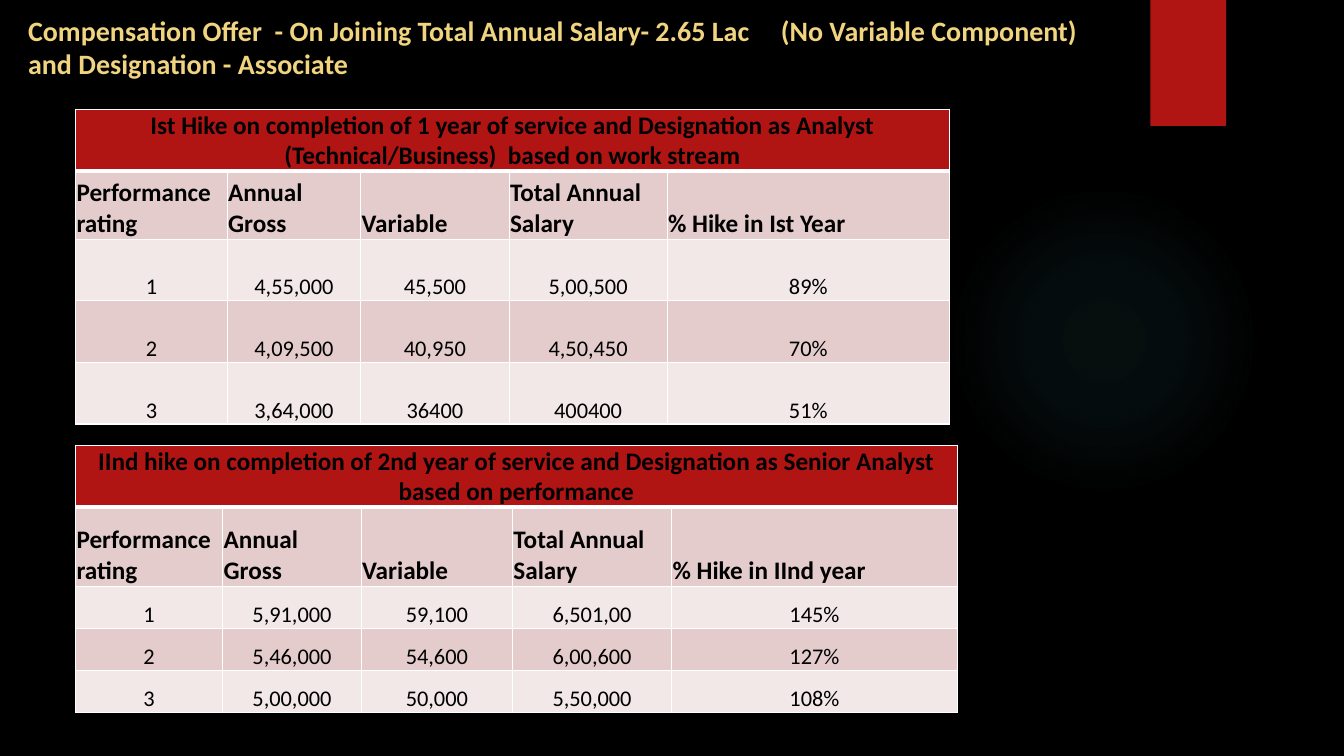
import dataclasses

import lxml.etree
import pptx
import pptx.dml.color
import pptx.enum.shapes
import pptx.enum.text
import pptx.oxml
import pptx.oxml.ns
import pptx.shapes.autoshape
import pptx.slide
import pptx.table
import pptx.text.text
import pptx.util

Pt = pptx.util.Pt
RGBColor = pptx.dml.color.RGBColor
Align = pptx.enum.text.PP_ALIGN
Shape = pptx.enum.shapes.MSO_SHAPE
qn = pptx.oxml.ns.qn

BLACK = RGBColor(0x00, 0x00, 0x00)
WHITE = RGBColor(0xFF, 0xFF, 0xFF)
RED = RGBColor(0xB0, 0x15, 0x13)
GOLD = RGBColor(0xF0, 0xD4, 0x7F)
TEAL = RGBColor(0x50, 0xB9, 0xC1)
DARK_BAND = RGBColor(0xE4, 0xCC, 0xCC)
LIGHT_BAND = RGBColor(0xF2, 0xE8, 0xE7)

FONT = "Calibri"
NAMESPACE = 'xmlns:a="http://schemas.openxmlformats.org/drawingml/2006/main"'
SHARED_HEADINGS = ("Performance rating", "Annual Gross", "Variable", "Total Annual Salary")


@dataclasses.dataclass(frozen=True)
class HikeTable:
    top: float
    height: float
    title: str
    hike_heading: str
    column_widths: tuple[float, ...]
    row_heights: tuple[float, ...]
    ratings: tuple[tuple[str, ...], ...]


HIKE_TABLES = (
    HikeTable(
        top=78,
        height=225.1,
        title="Ist Hike on completion of 1 year of service and Designation as Analyst "
        "(Technical/Business)  based on work stream",
        hike_heading="% Hike in Ist Year",
        column_widths=(108.3, 95.4, 106, 112.9, 201.6),
        row_heights=(28.8, 49, 44, 44, 44),
        ratings=(
            ("1", "4,55,000", "45,500", "5,00,500", "89%"),
            ("2", "4,09,500", "40,950", "4,50,450", "70%"),
            ("3", "3,64,000", "36400", "400400", "51%"),
        ),
    ),
    HikeTable(
        top=318,
        height=191,
        title="IInd hike on completion of 2nd year of service and Designation as Senior Analyst "
        "based on performance",
        hike_heading="% Hike in IInd year",
        column_widths=(105.1, 99, 108, 113.7, 204),
        row_heights=(30, 57, 30, 30, 30),
        ratings=(
            ("1", "5,91,000", "59,100", "6,501,00", "145%"),
            ("2", "5,46,000", "54,600", "6,00,600", "127%"),
            ("3", "5,00,000", "50,000", "5,50,000", "108%"),
        ),
    ),
)


def write(para: pptx.text.text._Paragraph, text: str, size: float, color: RGBColor, bold: bool) -> None:
    span = para.add_run()
    span.text = text
    span.font.name = FONT
    span.font.size = Pt(size)
    span.font.bold = bold
    span.font.color.rgb = color


def add_plain_shape(
    page: pptx.slide.Slide, kind: Shape, left: float, top: float, width: float, height: float
) -> pptx.shapes.autoshape.Shape:
    shape = page.shapes.add_shape(kind, Pt(left), Pt(top), Pt(width), Pt(height))
    shape.shadow.inherit = False
    shape.line.fill.background()
    return shape


def add_glow(page: pptx.slide.Slide) -> None:
    """Draw the faint round glow that fades out towards its edge."""
    glow = add_plain_shape(page, Shape.OVAL, 677.5, 131.8, 221.8, 221.8)
    stops = "".join(
        f'<a:gs pos="{place * 1000}"><a:srgbClr val="{TEAL}"><a:alpha val="{alpha * 1000}"/></a:srgbClr></a:gs>'
        for place, alpha in ((0, 7), (36, 6), (69, 0))
    )
    gradient = pptx.oxml.parse_xml(
        f'<a:gradFill {NAMESPACE} rotWithShape="1"><a:gsLst>{stops}</a:gsLst><a:path path="circle">'
        '<a:fillToRect l="50000" t="50000" r="50000" b="50000"/></a:path></a:gradFill>'
    )
    glow._element.spPr.find(qn("a:prstGeom")).addnext(gradient)


def add_ribbon(page: pptx.slide.Slide) -> None:
    ribbon = add_plain_shape(page, Shape.RECTANGLE, 821.8, 0, 54, 90)
    ribbon.fill.solid()
    ribbon.fill.fore_color.rgb = RED
    shadow = pptx.oxml.parse_xml(
        f'<a:outerShdw {NAMESPACE} blurRad="{Pt(3)}" dist="{Pt(2)}" dir="5400000" rotWithShape="0">'
        f'<a:srgbClr val="{BLACK}"><a:alpha val="45000"/></a:srgbClr></a:outerShdw>'
    )
    ribbon._element.spPr.find(qn("a:effectLst")).append(shadow)


def add_heading(page: pptx.slide.Slide) -> None:
    box = page.shapes.add_textbox(Pt(13), Pt(6), Pt(773.3), Pt(66))
    box.text_frame.word_wrap = True
    write(
        box.text_frame.paragraphs[0],
        "Compensation Offer  - On Joining Total Annual Salary- 2.65 Lac     (No Variable Component) "
        "and Designation - Associate",
        20, GOLD, True,
    )


def set_borders(cell: pptx.table._Cell, bottom_width: float) -> None:
    properties = cell._tc.get_or_add_tcPr()
    widths = {"lnL": 1, "lnR": 1, "lnT": 1, "lnB": bottom_width}
    for position, (side, width) in enumerate(widths.items()):
        line = lxml.etree.Element(qn(f"a:{side}"), w=str(Pt(width)))
        paint = lxml.etree.SubElement(line, qn("a:solidFill"))
        lxml.etree.SubElement(paint, qn("a:srgbClr"), val=str(WHITE))
        properties.insert(position, line)


def fill_cell(
    cell: pptx.table._Cell, text: str, fill: RGBColor, size: float, bold: bool, align: Align,
    bottom_width: float = 1,
) -> None:
    cell.margin_left = cell.margin_right = cell.margin_top = Pt(0.7)
    cell.margin_bottom = Pt(0)
    cell.vertical_anchor = pptx.enum.text.MSO_ANCHOR.BOTTOM
    cell.fill.solid()
    cell.fill.fore_color.rgb = fill
    set_borders(cell, bottom_width)
    if text:
        para = cell.text_frame.paragraphs[0]
        para.alignment = align
        write(para, text, size, BLACK, bold)


def add_hike_table(page: pptx.slide.Slide, hike: HikeTable) -> None:
    column_count = len(hike.column_widths)
    frame = page.shapes.add_table(
        len(hike.row_heights), column_count,
        Pt(54), Pt(hike.top), Pt(sum(hike.column_widths)), Pt(hike.height),
    )
    table = frame.table
    table.first_row = table.horz_banding = False
    for column, width in zip(table.columns, hike.column_widths):
        column.width = Pt(width)
    for row, height in zip(table.rows, hike.row_heights):
        row.height = Pt(height)
    frame.height = Pt(hike.height)

    table.cell(0, 0).merge(table.cell(0, column_count - 1))
    for column in range(column_count):
        title = hike.title if column == 0 else ""
        fill_cell(table.cell(0, column), title, RED, 18, True, Align.CENTER, bottom_width=3)
    for column, heading in enumerate((*SHARED_HEADINGS, hike.hike_heading)):
        fill_cell(table.cell(1, column), heading, DARK_BAND, 18, True, Align.LEFT)
    for row, rating in enumerate(hike.ratings, start=2):
        band = DARK_BAND if row % 2 else LIGHT_BAND
        for column, value in enumerate(rating):
            fill_cell(table.cell(row, column), value, band, 16, False, Align.CENTER)


def main() -> None:
    deck = pptx.Presentation()
    deck.slide_width, deck.slide_height = Pt(960), Pt(540)
    page = deck.slides.add_slide(deck.slide_layouts[6])
    page.background.fill.solid()
    page.background.fill.fore_color.rgb = BLACK
    add_glow(page)
    add_ribbon(page)
    add_heading(page)
    for hike in HIKE_TABLES:
        add_hike_table(page, hike)
    deck.save("out.pptx")


if __name__ == "__main__":
    main()
